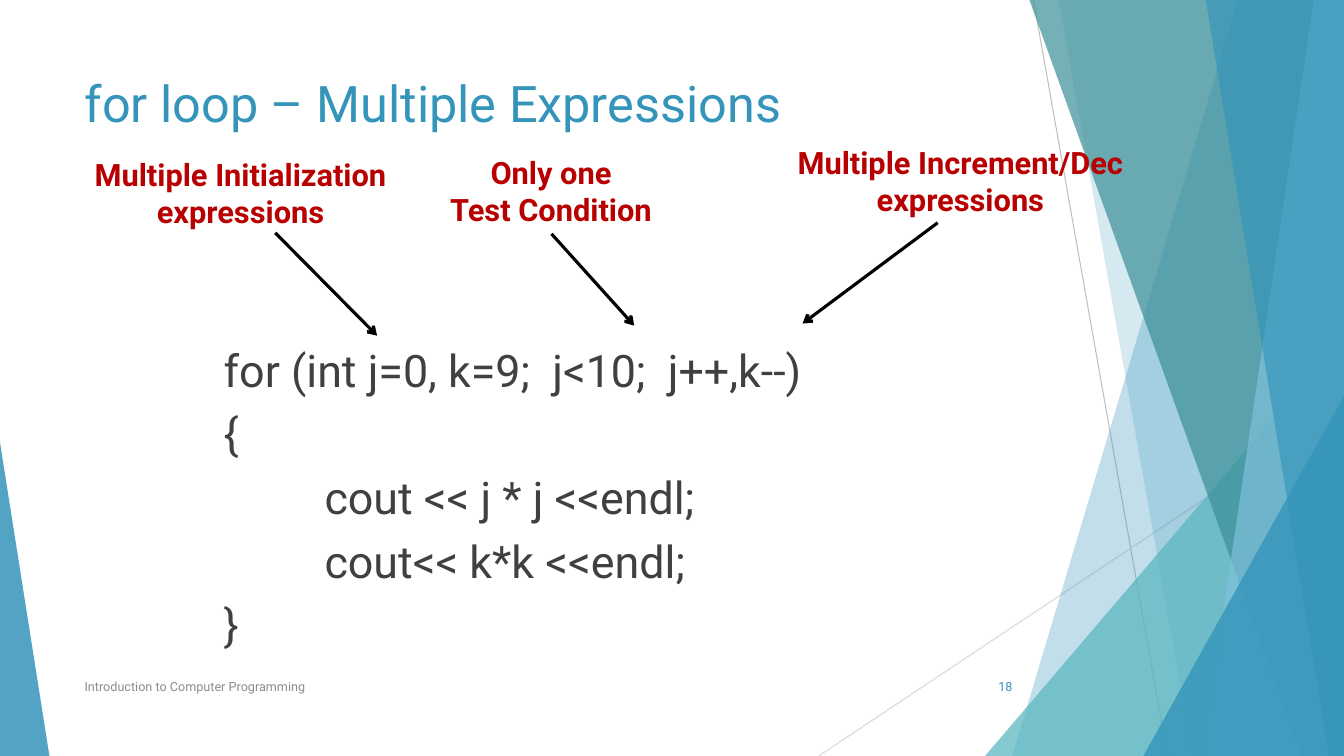
from pptx import Presentation
from pptx.dml.color import RGBColor
from pptx.enum.shapes import MSO_CONNECTOR, MSO_SHAPE
from pptx.enum.text import MSO_ANCHOR, MSO_AUTO_SIZE, PP_ALIGN
from pptx.oxml.ns import qn
from pptx.util import Inches, Pt
from lxml import etree

STRAIGHT = MSO_CONNECTOR.STRAIGHT
TRIANGLE = MSO_SHAPE.ISOSCELES_TRIANGLE
TOP, MIDDLE = MSO_ANCHOR.TOP, MSO_ANCHOR.MIDDLE
LEFT, CENTER, RIGHT = PP_ALIGN.LEFT, PP_ALIGN.CENTER, PP_ALIGN.RIGHT
NO_AUTOFIT = MSO_AUTO_SIZE.NONE

WIDTH, HEIGHT = 13.33, 7.5
MARGIN = 0.74
CONTENT_WIDTH = 9.4
CODE_TOP, FOOTER_TOP = 3.35, 6.61
FONT = "Roboto"
BLUE, TEAL, DARK_TEAL, LIGHT_BLUE = "3494BA", "58B6C0", "3A8F98", "7FC1DB"
RED, DARK_GRAY, GRAY, BLACK = "B80000", "404040", "8C8C8C", "000000"

# Top x, bottom x, colour and opacity; each panel reaches the right edge
BACK_PANELS = [(12.28, 10.04, BLUE, 30), (10.5, 11.83, BLUE, 20)]
FRONT_PANELS = [
    (10.21, 12.91, DARK_TEAL, 70),
    (13.03, 11.92, LIGHT_BLUE, 70),
    (11.96, 13.18, BLUE, 65),
]

# Text lines, label box, arrow start, arrow end
CALLOUTS = [
    (["Multiple Initialization", "expressions"],
     (0.74, 1.5, 3.29, 0.84), (2.73, 2.31), (3.74, 3.33)),
    (["Only one", "Test Condition"],
     (4.33, 1.48, 2.27, 0.84), (5.47, 2.32), (6.29, 3.23)),
    (["Multiple Increment/Dec", "expressions"],
     (7.68, 1.38, 3.69, 0.84), (9.3, 2.21), (7.96, 3.21)),
]

# Nesting level and text of each line of code
CODE = [
    (0, "for (int j=0, k=9;  j<10;  j++,k--)"),
    (0, "{"),
    (1, "cout << j * j <<endl;"),
    (1, "cout<< k*k <<endl;"),
    (0, "}"),
]


def color(value):
    return RGBColor.from_string(value)


def write(frame, lines, size, text_color, bold=False, align=LEFT,
          anchor=TOP, space_before=0, wrap=True):
    """Fill a text frame with one paragraph per line."""
    frame.auto_size = NO_AUTOFIT
    frame.word_wrap = wrap
    frame.vertical_anchor = anchor
    for index, line in enumerate(lines):
        paragraph = frame.paragraphs[0] if index == 0 else frame.add_paragraph()
        paragraph.alignment = align
        paragraph.space_before = Pt(space_before if index else 0)
        run = paragraph.add_run()
        run.text = line
        run.font.name = FONT
        run.font.size = Pt(size)
        run.font.bold = bold
        run.font.color.rgb = color(text_color)


def add_text(slide, box, lines, **text_format):
    shape = slide.shapes.add_textbox(*map(Inches, box))
    write(shape.text_frame, lines, **text_format)
    return shape


def add_line(slide, start, end, line_color, width, arrow=False):
    connector = slide.shapes.add_connector(
        STRAIGHT, *map(Inches, (*start, *end)))
    connector.line.color.rgb = color(line_color)
    connector.line.width = Pt(width)
    properties = connector._element.spPr
    if arrow:
        line = properties.find(qn("a:ln"))
        etree.SubElement(line, qn("a:tailEnd"), type="arrow")
    etree.SubElement(properties, qn("a:effectLst"))


def style_panel(shape, fill_color, opacity):
    shape.shadow.inherit = False
    shape.line.fill.background()
    shape.fill.solid()
    shape.fill.fore_color.rgb = color(fill_color)
    fill = shape._element.spPr.find(qn("a:solidFill"))
    etree.SubElement(fill[0], qn("a:alpha"), val=str(opacity * 1000))


def add_panel(slide, top_x, bottom_x, fill_color, opacity):
    corners = [(top_x, 0), (WIDTH, 0), (WIDTH, HEIGHT), (bottom_x, HEIGHT)]
    points = [(Inches(x), Inches(y)) for x, y in corners]
    builder = slide.shapes.build_freeform(*points[0])
    builder.add_line_segments(points[1:], close=True)
    style_panel(builder.convert_to_shape(), fill_color, opacity)


def add_triangle(slide, box, apex, fill_color, opacity):
    shape = slide.shapes.add_shape(TRIANGLE, *map(Inches, box))
    shape.adjustments[0] = apex
    style_panel(shape, fill_color, opacity)


def add_decoration(slide):
    add_line(slide, (10.25, 0), (11.58, HEIGHT), "BFBFBF", 0.75)
    add_line(slide, (WIDTH, 4.03), (8.12, HEIGHT), "D9D9D9", 0.75)
    for panel in BACK_PANELS:
        add_panel(slide, *panel)
    add_triangle(slide, (9.77, 3.33, 3.56, 4.17), 1, TEAL, 72)
    for panel in FRONT_PANELS:
        add_panel(slide, *panel)
    add_triangle(slide, (11.34, 3.93, 1.99, 3.57), 1, BLUE, 80)
    add_triangle(slide, (0, 4.39, 0.49, 3.11), 0, BLUE, 85)


def add_title(slide, box, text):
    title = slide.shapes.title
    title.left, title.top, title.width, title.height = map(Inches, box)
    write(title.text_frame, [text], size=36, text_color=BLUE)


def add_code(slide, box):
    shape = add_text(slide, box, [text for _, text in CODE],
                     size=32, text_color=DARK_GRAY, space_before=7)
    for (level, _), paragraph in zip(CODE, shape.text_frame.paragraphs):
        properties = paragraph._p.get_or_add_pPr()
        properties.set("marL", str(Inches(level)))
        properties.set("indent", "0")


def add_footer(slide, box):
    left, top, width, height = box
    number_width = 0.75
    add_text(slide, (left, top, 6.89, height),
             ["Introduction to Computer Programming"],
             size=9, text_color=GRAY, anchor=MIDDLE)
    add_text(slide, (left + width - number_width, top, number_width, height),
             ["18"], size=9, text_color=BLUE, align=RIGHT, anchor=MIDDLE)


def add_callout(slide, lines, box, start, end):
    add_line(slide, start, end, BLACK, 2.25, arrow=True)
    add_text(slide, box, lines, size=22, text_color=RED, bold=True,
             align=CENTER, wrap=False)


def main():
    presentation = Presentation()
    presentation.slide_width = Inches(WIDTH)
    presentation.slide_height = Inches(HEIGHT)
    slide = presentation.slides.add_slide(presentation.slide_layouts[5])

    add_decoration(slide)
    add_title(slide, (MARGIN, 0.67, CONTENT_WIDTH, 1.44),
              "for loop – Multiple Expressions")
    add_code(slide, (2.12, CODE_TOP, 8.02, FOOTER_TOP - CODE_TOP))
    add_footer(slide, (MARGIN, FOOTER_TOP, CONTENT_WIDTH, 0.4))
    for callout in CALLOUTS:
        add_callout(slide, *callout)

    presentation.save("out.pptx")


if __name__ == "__main__":
    main()
